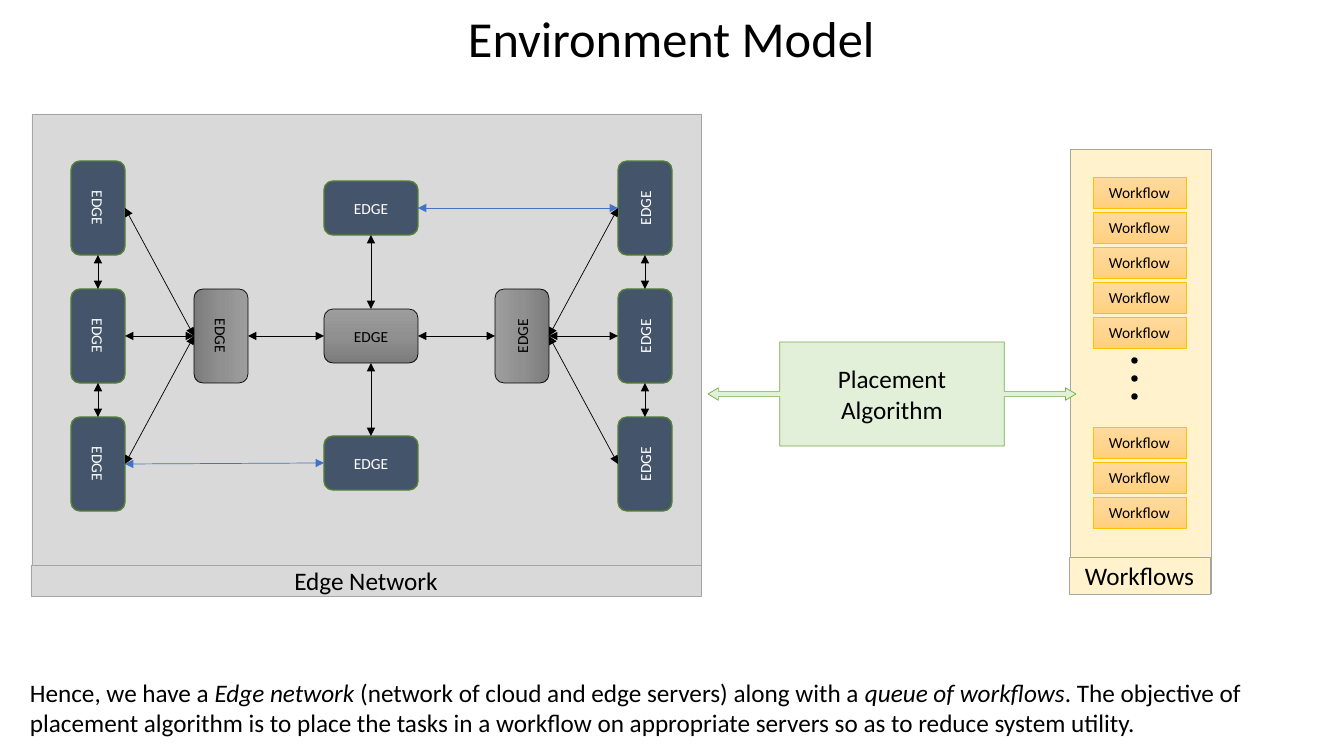
from copy import deepcopy
from dataclasses import dataclass

from lxml import etree
from pptx import Presentation
from pptx.dml.color import RGBColor
from pptx.enum.shapes import MSO_CONNECTOR, MSO_SHAPE
from pptx.enum.text import MSO_ANCHOR, PP_ALIGN
from pptx.oxml.ns import qn
from pptx.util import Emu, Pt

RECTANGLE = MSO_SHAPE.RECTANGLE
ROUNDED = MSO_SHAPE.FLOWCHART_ALTERNATE_PROCESS
DOT = MSO_SHAPE.FLOWCHART_CONNECTOR
CALLOUT = MSO_SHAPE.LEFT_RIGHT_ARROW_CALLOUT
STRAIGHT = MSO_CONNECTOR.STRAIGHT
LEFT, CENTER = PP_ALIGN.LEFT, PP_ALIGN.CENTER
TOP, MIDDLE = MSO_ANCHOR.TOP, MSO_ANCHOR.MIDDLE

SLIDE_WIDTH, SLIDE_HEIGHT = 1344, 756
SCALE = 12192000 / SLIDE_WIDTH
FONT = "Calibri"
COLORS = {
    "black": "000000", "white": "FFFFFF", "gray": "D9D9D9", "gray_line": "A5A5A5",
    "cream": "FFF2CC", "gold": "FFC000", "mint": "E2F0D9", "green": "70AD47",
    "navy": "44546A", "dark_green": "538035", "blue": "4472C4",
    "orange_light": "FFDB9E", "orange": "FFD590", "orange_dark": "FFD07C",
    "steel_light": "9D9D9D", "steel": "909090", "steel_dark": "7C7C7C",
}
ORANGE_FADE = ("orange_light", "orange", "orange_dark")
STEEL_FADE = ("steel_light", "steel", "steel_dark")
NODE_WIDTH, NODE_HEIGHT = 94, 54
UPPER, MIDDLE_ROW, LOWER = 208, 336, 464
WORKFLOW_STEP = 35
DOT_STEP = 18


@dataclass(frozen=True)
class Box:
    """A styled preset shape, placed in pixels."""
    left: int
    top: int
    width: int
    height: int
    fill: str | tuple[str, ...]
    line: str
    line_width: float = 0.5
    preset: MSO_SHAPE = RECTANGLE
    rotation: int = 0


@dataclass(frozen=True)
class Node:
    """An edge server, placed by its centre."""
    x: int
    y: int
    rotation: int = 0
    is_hub: bool = False

    def side(self, across: int, down: int) -> tuple[int, int]:
        """Return the middle of the side in the given direction."""
        width, height = (NODE_HEIGHT, NODE_WIDTH) if self.rotation else (NODE_WIDTH, NODE_HEIGHT)
        return self.x + across * width // 2, self.y + down * height // 2


@dataclass(frozen=True)
class Link:
    """A two-headed arrow between two nodes."""
    start: str
    end: str
    vertical: bool = False
    color: str = "black"


NODES = {
    "left_upper": Node(98, UPPER, 90),
    "left_middle": Node(98, MIDDLE_ROW, 90),
    "left_lower": Node(98, LOWER, 90),
    "left_hub": Node(221, MIDDLE_ROW, 90, True),
    "center_upper": Node(371, UPPER),
    "center_hub": Node(371, MIDDLE_ROW, 0, True),
    "center_lower": Node(371, LOWER - 1),
    "right_hub": Node(522, MIDDLE_ROW, 270, True),
    "right_upper": Node(645, UPPER, 270),
    "right_middle": Node(645, MIDDLE_ROW, 270),
    "right_lower": Node(645, LOWER, 270),
}
LINKS = [
    *(Link(f"left_{row}", "left_hub") for row in ("upper", "middle", "lower")),
    *(Link("right_hub", f"right_{row}") for row in ("upper", "middle", "lower")),
    *(Link(f"{side}_{row}", f"{side}_{below}", True) for side in ("left", "right")
      for row, below in (("upper", "middle"), ("middle", "lower"))),
    Link("center_upper", "center_hub", True),
    Link("center_hub", "center_lower", True),
    Link("left_hub", "center_hub"),
    Link("center_hub", "right_hub"),
    Link("center_upper", "right_upper", color="blue"),
    Link("left_lower", "center_lower", color="blue"),
]


def px(value: float) -> Emu:
    """Turn pixels into EMU."""
    return Emu(round(value * SCALE))


def rgb(name: str) -> RGBColor:
    """Look up a named colour."""
    return RGBColor.from_string(COLORS[name])


def write_text(shape, text: str, *, size: int = 18, color: str = "black",
               align: PP_ALIGN = CENTER, anchor: MSO_ANCHOR = MIDDLE, wrap: bool = True) -> None:
    """Write one paragraph, with the parts between asterisks in italics."""
    frame = shape.text_frame
    frame.word_wrap = wrap
    frame.vertical_anchor = anchor
    paragraph = frame.paragraphs[0]
    paragraph.alignment = align
    for index, part in enumerate(text.split("*")):
        run = paragraph.add_run()
        run.text = part
        run.font.name = FONT
        run.font.size = Pt(size)
        run.font.italic = index % 2 == 1
        run.font.color.rgb = rgb(color)


def fade(shape, names: tuple[str, ...]) -> None:
    """Fill a shape with an even three-colour gradient, from top to bottom."""
    shape.fill.gradient()
    shape.fill.gradient_angle = 270
    stop_list = shape.element.find(f".//{qn('a:gsLst')}")
    stop_list.append(deepcopy(stop_list[-1]))
    for index, (stop, name) in enumerate(zip(shape.fill.gradient_stops, names)):
        stop.position = index / (len(names) - 1)
        stop.color.rgb = rgb(name)


def draw_box(slide, box: Box):
    """Draw a styled shape and return it."""
    shape = slide.shapes.add_shape(
        box.preset, px(box.left), px(box.top), px(box.width), px(box.height))
    shape.shadow.inherit = False
    shape.rotation = box.rotation
    if isinstance(box.fill, tuple):
        fade(shape, box.fill)
    else:
        shape.fill.solid()
        shape.fill.fore_color.rgb = rgb(box.fill)
    shape.line.color.rgb = rgb(box.line)
    shape.line.width = Pt(box.line_width)
    return shape


def draw_node(slide, node: Node) -> None:
    """Draw an edge server with its label."""
    fill, line, width, color = (
        (STEEL_FADE, "black", 0.5, "black") if node.is_hub
        else ("navy", "dark_green", 1, "white"))
    shape = draw_box(slide, Box(
        node.x - NODE_WIDTH // 2, node.y - NODE_HEIGHT // 2, NODE_WIDTH, NODE_HEIGHT,
        fill, line, width, ROUNDED, node.rotation))
    write_text(shape, "EDGE", size=11, color=color)


def draw_link(slide, link: Link) -> None:
    """Draw an arrow between the facing sides of two nodes."""
    across, down = (0, 1) if link.vertical else (1, 0)
    start = NODES[link.start].side(across, down)
    end = NODES[link.end].side(-across, -down)
    connector = slide.shapes.add_connector(STRAIGHT, *map(px, start + end))
    connector.line.color.rgb = rgb(link.color)
    connector.line.width = Pt(0.5)
    outline = connector.line._get_or_add_ln()
    for tag in ("a:headEnd", "a:tailEnd"):
        etree.SubElement(outline, qn(tag), type="triangle")
    etree.SubElement(connector.element.spPr, qn("a:effectLst"))


def draw_text(slide, left: int, top: int, width: int, height: int, text: str, **text_format) -> None:
    """Draw a text box."""
    shape = slide.shapes.add_textbox(px(left), px(top), px(width), px(height))
    write_text(shape, text, align=LEFT, anchor=TOP, **text_format)


def build() -> None:
    """Build the slide and save it."""
    presentation = Presentation()
    presentation.slide_width, presentation.slide_height = px(SLIDE_WIDTH), px(SLIDE_HEIGHT)
    slide = presentation.slides.add_slide(presentation.slide_layouts[6])
    draw_text(slide, 458, 2, 430, 72, "Environment Model", size=36, wrap=False)
    draw_text(slide, 20, 672, 1306, 72,
              "Hence, we have a *Edge network *(network of cloud and edge servers) along with a "
              "*queue of workflows*. The objective of placement algorithm is to place the tasks in "
              "a workflow on appropriate servers so as to reduce system utility.")
    draw_box(slide, Box(32, 114, 669, 481, "gray", "gray_line"))
    draw_box(slide, Box(1070, 149, 141, 444, "cream", "gray_line"))
    for first_top, count in ((177, 5), (427, 3)):
        for index in range(count):
            workflow = draw_box(slide, Box(
                1093, first_top + index * WORKFLOW_STEP, 93, 31, ORANGE_FADE, "gold"))
            write_text(workflow, "Workflow", size=11)
    for index in range(3):
        draw_box(slide, Box(1132, 358 + index * DOT_STEP, 5, 5, "black", "black", 1, DOT))
    placement = draw_box(slide, Box(708, 342, 368, 104, "mint", "green", preset=CALLOUT))
    for index, value in enumerate((0.05, 0.06, 0.1, 0.61)):
        placement.adjustments[index] = value
    write_text(placement, "Placement Algorithm")
    for node in NODES.values():
        draw_node(slide, node)
    for link in LINKS:
        draw_link(slide, link)
    write_text(draw_box(slide, Box(31, 565, 670, 31, "gray", "gray_line")), "Edge Network")
    write_text(draw_box(slide, Box(1069, 557, 141, 37, "cream", "gray_line")), "Workflows")
    presentation.save("out.pptx")


build()
